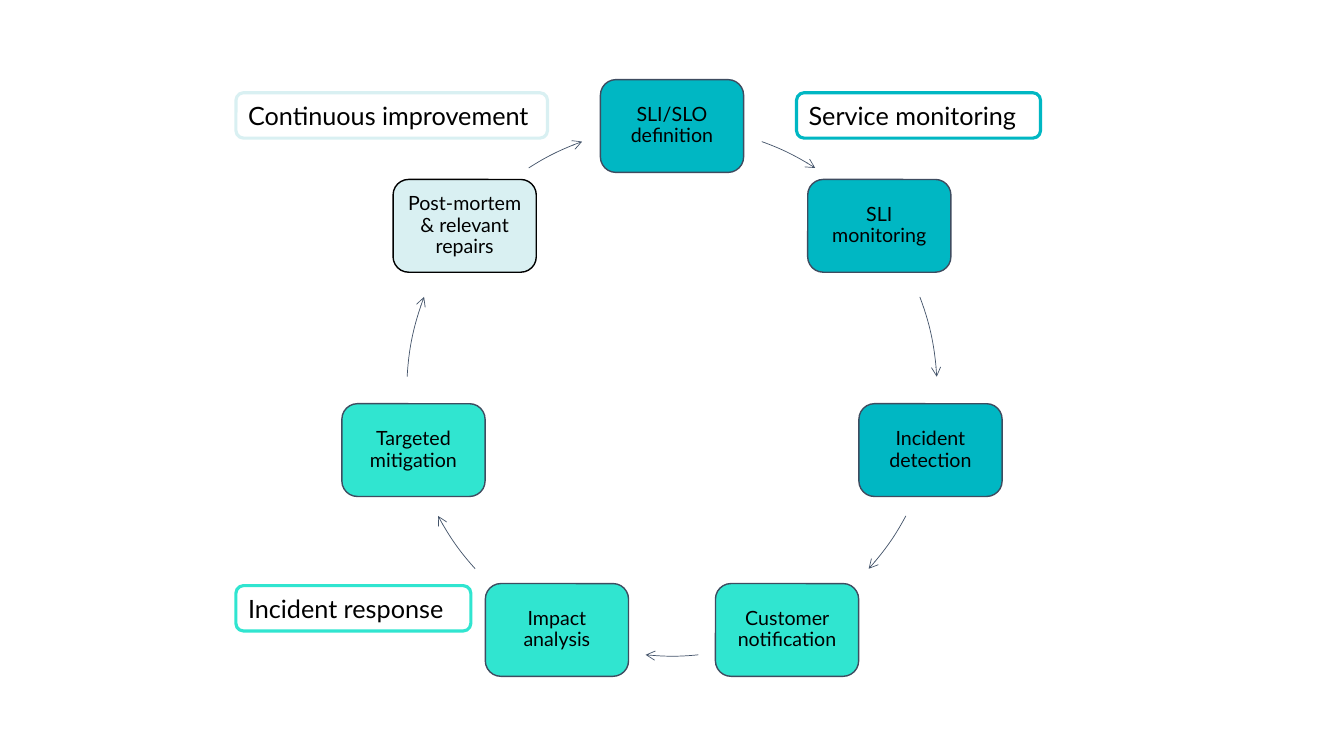
from math import cos, radians, sin, tan

from lxml import etree
from pptx import Presentation, util as u
from pptx.dml.color import RGBColor
from pptx.enum import shapes, text
from pptx.oxml import ns

# Content
COLOURS = {
    "monitoring": "00B7C3",
    "response": "30E5D0",
    "improvement": "D9F0F2",
    "step line": "3E4C60",
    "arrow": "44546A",
    "black": "000000",
}
STEPS = [
    ("SLI/SLO definition", "monitoring", "step line"),
    ("SLI monitoring", "monitoring", "step line"),
    ("Incident detection", "monitoring", "step line"),
    ("Customer notification", "response", "step line"),
    ("Impact analysis", "response", "step line"),
    ("Targeted mitigation", "response", "step line"),
    ("Post-mortem & relevant repairs", "improvement", "black"),
]
# Phase label, colour, left, top, width
PHASES = [
    ("Continuous improvement", "improvement", 2.34, 0.92, 3.09),
    ("Service monitoring", "monitoring", 7.9, 0.92, 2.42),
    ("Incident response", "response", 2.34, 5.81, 2.33),
]
# Arrow spans in degrees clockwise from the top; the left half mirrors the right
RIGHT_ARCS = [(19.8, 32.7), (69.2, 86.9), (118.1, 132.1)]
LEFT_ARCS = [(360 - end, 360 - start) for start, end in reversed(RIGHT_ARCS)]
ARCS = RIGHT_ARCS + [(174.3, 185.7)] + LEFT_ARCS

# Cycle geometry in inches
SLIDE_WIDTH, SLIDE_HEIGHT = 13.33, 7.5
CENTRE_X, CENTRE_Y, RADIUS = SLIDE_WIDTH / 2, 3.88, 2.63
STEP_WIDTH, STEP_HEIGHT = 1.42, 0.92
PHASE_HEIGHT = 0.45
FONT = "Lato"

presentation = Presentation()
presentation.slide_width = u.Inches(SLIDE_WIDTH)
presentation.slide_height = u.Inches(SLIDE_HEIGHT)
slide = presentation.slides.add_slide(presentation.slide_layouts[6])


def colour(name):
    return RGBColor.from_string(COLOURS[name])


def on_circle(angle, along=0):
    """Point on the cycle, moved along the tangent by a share of the radius."""
    turn = radians(angle)
    return (CENTRE_X + RADIUS * (sin(turn) + along * cos(turn)),
            CENTRE_Y - RADIUS * (cos(turn) - along * sin(turn)))


def set_line(shape, name, width):
    shape.shadow.inherit = False
    shape.line.color.rgb = colour(name)
    shape.line.width = u.Pt(width)


def add_box(words, left, top, width, height, line, line_width, size, fill=None):
    shape = slide.shapes.add_shape(
        shapes.MSO_SHAPE.ROUNDED_RECTANGLE,
        *(u.Inches(length) for length in (left, top, width, height)))
    set_line(shape, line, line_width)
    if fill:
        shape.fill.solid()
        shape.fill.fore_color.rgb = colour(fill)
    else:
        shape.fill.background()
    frame = shape.text_frame
    frame.word_wrap = True
    frame.vertical_anchor = text.MSO_ANCHOR.MIDDLE
    paragraph = frame.paragraphs[0]
    paragraph.alignment = text.PP_ALIGN.LEFT
    run = paragraph.add_run()
    run.text = words
    run.font.name = FONT
    run.font.size = u.Pt(size)
    run.font.color.rgb = colour("black")
    return frame


def add_arc(start, end):
    handle = 4 / 3 * tan(radians(end - start) / 4)
    points = [on_circle(start), on_circle(start, handle),
              on_circle(end, -handle), on_circle(end)]
    first, *others = [(u.Inches(x), u.Inches(y)) for x, y in points]
    builder = slide.shapes.build_freeform(*first, scale=1.0)
    builder.add_line_segments(others, close=False)
    shape = builder.convert_to_shape()
    shape.fill.background()
    set_line(shape, "arrow", 0.5)
    # Turn the three segments into one curve
    path = shape.element.find(".//" + ns.qn("a:path"))
    curve = etree.SubElement(path, ns.qn("a:cubicBezTo"))
    for segment in path.findall(ns.qn("a:lnTo")):
        curve.append(segment[0])
        path.remove(segment)
    # Let the frame of every arc span the whole cycle
    left, top = u.Inches(CENTRE_X - RADIUS), u.Inches(CENTRE_Y - RADIUS)
    for point in path.iter(ns.qn("a:pt")):
        point.set("x", str(int(point.get("x")) + shape.left - left))
        point.set("y", str(int(point.get("y")) + shape.top - top))
    shape.left, shape.top = left, top
    shape.width = shape.height = u.Inches(2 * RADIUS)
    path.set("w", str(shape.width))
    path.set("h", str(shape.height))
    line = shape.element.find(".//" + ns.qn("a:ln"))
    etree.SubElement(line, ns.qn("a:tailEnd"), type="arrow")


# Cycle of steps and arrows
for index, ((words, fill, line), arc) in enumerate(zip(STEPS, ARCS)):
    x, y = on_circle(index * 360 / len(STEPS))
    frame = add_box(words, x - STEP_WIDTH / 2, y - STEP_HEIGHT / 2,
                    STEP_WIDTH, STEP_HEIGHT, line, 1, 14, fill)
    frame.margin_left = frame.margin_right = u.Inches(0.06)
    frame.margin_top = frame.margin_bottom = u.Inches(0.06)
    paragraph = frame.paragraphs[0]
    paragraph.alignment = text.PP_ALIGN.CENTER
    paragraph.line_spacing = 0.9
    paragraph.space_after = u.Pt(4.9)
    add_arc(*arc)

# Phase labels
for words, line, left, top, width in PHASES:
    frame = add_box(words, left, top, width, PHASE_HEIGHT, line, 2.25, 18)
    frame.auto_size = text.MSO_AUTO_SIZE.SHAPE_TO_FIT_TEXT

presentation.save("out.pptx")
